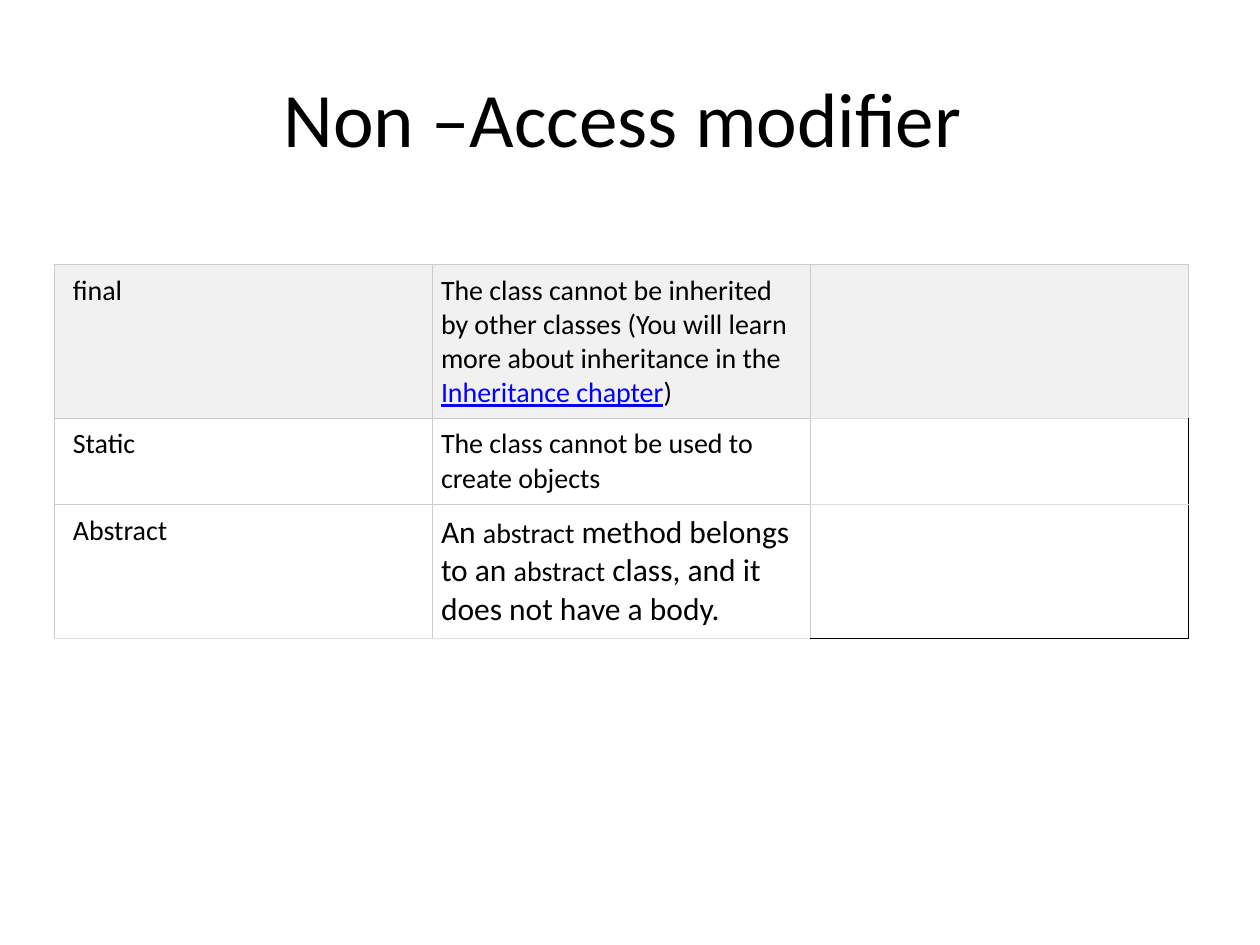
from dataclasses import dataclass

from lxml.etree import SubElement
from pptx import Presentation
from pptx.dml.color import RGBColor
from pptx.enum.text import MSO_ANCHOR as Anchor, PP_ALIGN as Align
from pptx.oxml.ns import qn
from pptx.util import Cm, Pt

BLACK, WHITE, SHADE = "000000", "FFFFFF", "F1F1F1"
GRID, PALE_GRID, LINK = "CCCCCC", "DDDDDD", "0000FF"


@dataclass(frozen=True)
class Span:
    text: str
    size: int = 16
    color: str = BLACK
    underline: bool = False


@dataclass(frozen=True)
class Modifier:
    name: str
    meaning: tuple[Span, ...]
    height: float
    fill: str = WHITE


MODIFIERS = (
    Modifier("final", (
        Span("The class cannot be inherited by other classes "
             "(You will learn more about inheritance in the "),
        Span("Inheritance chapter", color=LINK, underline=True),
        Span(")"),
    ), 3.1, SHADE),
    Modifier("Static", (Span("The class cannot be used to create objects"),), 1.74),
    Modifier("Abstract", (
        Span("An ", 18),
        Span("abstract"),
        Span(" method belongs to an ", 18),
        Span("abstract"),
        Span(" class, and it does not have a body. ", 18),
    ), 2.7),
)


def rgb(color: str) -> RGBColor:
    return RGBColor.from_string(color)


def write(paragraph, text: str, *, size: int = 16, color: str = BLACK,
          underline: bool = False) -> None:
    run = paragraph.add_run()
    run.text = text
    run.font.name = "Calibri"
    run.font.size = Pt(size)
    run.font.color.rgb = rgb(color)
    run.font.underline = underline


def draw_borders(cell, left: str, right: str, top: str, bottom: str) -> None:
    properties = cell._tc.get_or_add_tcPr()
    sides = (("a:lnL", left), ("a:lnR", right), ("a:lnT", top), ("a:lnB", bottom))
    for position, (side, color) in enumerate(sides):
        border = SubElement(properties, qn(side), w=str(Pt(0.75)))
        fill = SubElement(border, qn("a:solidFill"))
        SubElement(fill, qn("a:srgbClr"), val=color)
        properties.insert(position, border)


def fill_cell(cell, spans: tuple[Span, ...], fill: str, indent: float) -> None:
    cell.margin_left = Cm(indent)
    cell.margin_right = cell.margin_top = cell.margin_bottom = Cm(0.18)
    cell.fill.solid()
    cell.fill.fore_color.rgb = rgb(fill)
    for span in spans:
        write(cell.text_frame.paragraphs[0], span.text, size=span.size,
              color=span.color, underline=span.underline)


def add_title(slide, text: str) -> None:
    title = slide.shapes.add_textbox(Cm(1.27), Cm(0.76), Cm(22.86), Cm(3.18))
    frame = title.text_frame
    frame.word_wrap = True
    frame.vertical_anchor = Anchor.MIDDLE
    heading = frame.paragraphs[0]
    heading.alignment = Align.CENTER
    write(heading, text, size=44)


def add_modifier_table(slide, modifiers: tuple[Modifier, ...]) -> None:
    total_height = Cm(sum(modifier.height for modifier in modifiers))
    table = slide.shapes.add_table(len(modifiers), 3, Cm(1.09), Cm(5.33),
                                   Cm(22.86), total_height).table
    table.first_row = table.horz_banding = False
    last = len(modifiers) - 1
    for index, modifier in enumerate(modifiers):
        table.rows[index].height = Cm(modifier.height)
        contents = ((Span(modifier.name),), modifier.meaning, ())
        for column, spans in enumerate(contents):
            cell = table.cell(index, column)
            fill_cell(cell, spans, modifier.fill, 0.38 if column == 0 else 0.18)
            blank = not spans
            right = BLACK if blank and index > 0 else GRID
            top = PALE_GRID if blank and index > 0 else GRID
            bottom = PALE_GRID if blank or index == last else GRID
            if blank and index == last:
                bottom = BLACK
            draw_borders(cell, GRID, right, top, bottom)


def main() -> None:
    deck = Presentation()
    deck.slide_width, deck.slide_height = Cm(25.4), Cm(19.05)
    slide = deck.slides.add_slide(deck.slide_layouts[6])
    add_title(slide, "Non –Access modifier\t")
    add_modifier_table(slide, MODIFIERS)
    deck.save("out.pptx")


if __name__ == "__main__":
    main()
